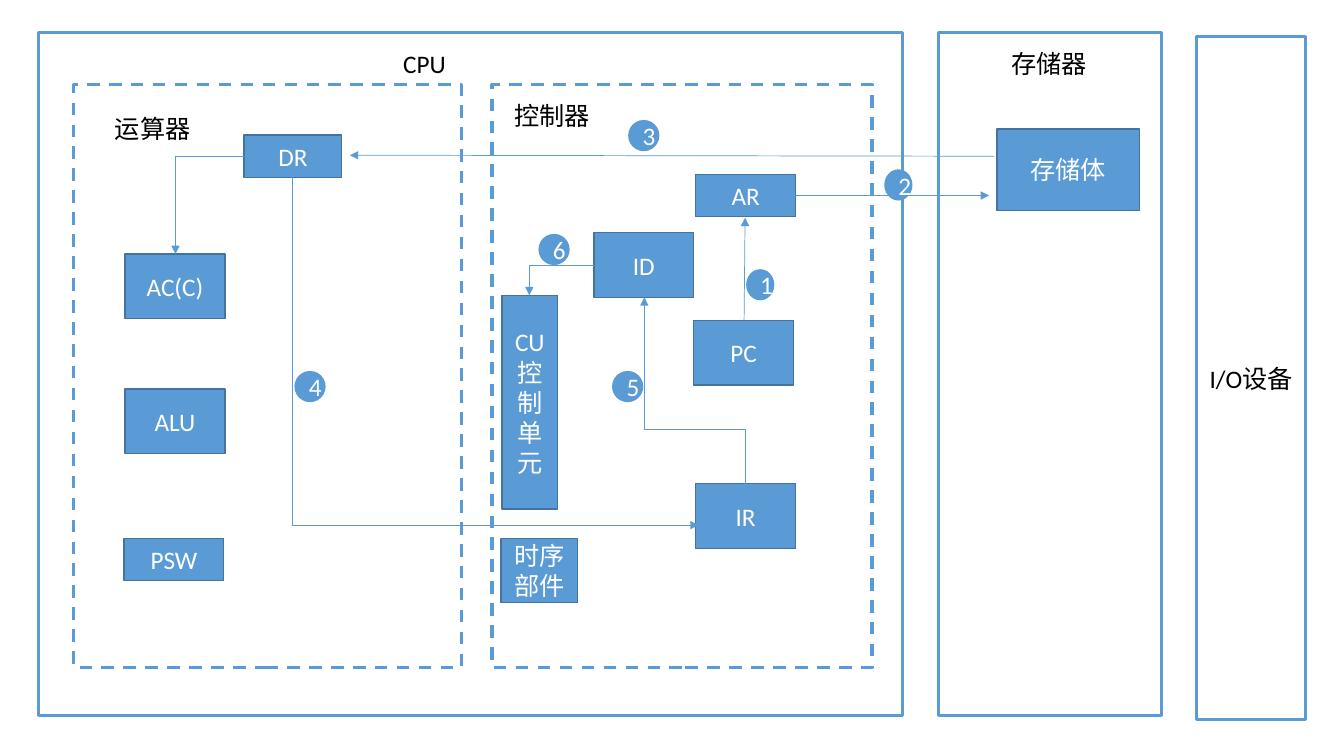
from lxml.etree import SubElement
from pptx import Presentation
from pptx.dml.color import RGBColor
from pptx.enum.dml import MSO_LINE
from pptx.enum.shapes import MSO_CONNECTOR, MSO_SHAPE
from pptx.enum.text import MSO_ANCHOR, MSO_AUTO_SIZE, PP_ALIGN
from pptx.oxml.ns import qn
from pptx.util import Inches, Pt

BLUE, EDGE, WHITE, BLACK = "5B9BD5", "43739E", "FFFFFF", "000000"
FONT, SIZE = "Calibri", 18

# Outer frames and dashed units: left, top, width, height, text, dashed
FRAMES = [
    (0.38, 0.32, 8.57, 6.78, "", False),
    (9.31, 0.32, 2.21, 6.78, "", False),
    (11.87, 0.36, 1.08, 6.78, "I/O设备", False),
    (0.73, 0.84, 3.85, 5.78, "", True),
    (4.88, 0.84, 3.77, 5.78, "", True),
]
# Labels: left, top, width, text, wrap
LABELS = [
    (3.9, 0.43, 0.97, "CPU", True),
    (1.04, 1.08, 0.99, "运算器", True),
    (5, 0.95, 0.99, "控制器", True),
    (9.93, 0.43, 0.96, "存储器", False),
]
# Parts: left, top, width, height, text
WIDE, TALL, FLAT = 0.99, 0.64, 0.42
PARTS = [
    (1.24, 3.86, WIDE, TALL, "ALU"),
    (1.24, 2.52, WIDE, TALL, "AC(C)"),
    (2.42, 1.34, 0.97, FLAT, "DR"),
    (1.23, 5.34, WIDE, FLAT, "PSW"),
    (6.88, 3.18, WIDE, TALL, "PC"),
    (6.9, 4.8, WIDE, TALL, "IR"),
    (5.89, 2.31, WIDE, TALL, "ID"),
    (6.9, 1.73, WIDE, FLAT, "AR"),
    (4.97, 5.34, 0.76, TALL, "时序部件"),
    (4.98, 2.93, 0.55, 2.12, "CU控制单元"),
    (9.89, 1.28, 1.41, 0.81, "存储体"),
]
# Straight arrows: start, end
ARROWS = [
    ((7.38, 3.18), (7.39, 2.16)),
    ((7.89, 1.94), (9.81, 1.94)),
    ((9.86, 1.55), (3.47, 1.54)),
]
# Bent arrows: start, end, leaves upright, place of the middle bend
BENDS = [
    ((2.9, 1.76), (6.93, 5.21), True, None),
    ((7.39, 4.8), (6.39, 2.95), True, 0.292),
    ((5.89, 2.63), (5.25, 2.93), False, None),
    ((2.42, 1.55), (1.74, 2.52), False, None),
]
# Step numbers: left, top, width, text
STEPS = [
    (6.23, 1.19, 0.31, "3"),
    (6.07, 3.68, 0.31, "5"),
    (5.34, 2.32, 0.31, "6"),
    (7.4, 2.67, 0.28, "1"),
    (8.77, 1.68, 0.28, "2"),
    (2.92, 3.68, 0.31, "4"),
]


def tint(form, color):
    """Set a solid colour on a fill or a font colour on a font."""
    if hasattr(form, "solid"):
        form.solid()
        form.fore_color.rgb = RGBColor.from_string(color)
    else:
        form.color.rgb = RGBColor.from_string(color)


def write(frame, text, color, align=None):
    """Put one run of text in a text frame."""
    para = frame.paragraphs[0]
    para.alignment = align
    run = para.add_run()
    run.text = text
    run.font.name, run.font.size = FONT, Pt(SIZE)
    tint(run.font, color)


def add_form(slide, kind, box, text, fill=None, line=None, width=1, ink=WHITE):
    """Add a preset shape with centred text."""
    shape = slide.shapes.add_shape(kind, *map(Inches, box))
    shape.shadow.inherit = False
    if fill:
        tint(shape.fill, fill)
    else:
        shape.fill.background()
    if line:
        tint(shape.line.fill, line)
        shape.line.width = Pt(width)
    else:
        shape.line.fill.background()
    shape.text_frame.vertical_anchor = MSO_ANCHOR.MIDDLE
    if text:
        write(shape.text_frame, text, ink, PP_ALIGN.CENTER)
    return shape


def add_label(slide, left, top, width, text, wrap):
    """Add a heading in a text box."""
    box = slide.shapes.add_textbox(*map(Inches, (left, top, width, 0.4)))
    box.text_frame.word_wrap = wrap
    box.text_frame.auto_size = MSO_AUTO_SIZE.SHAPE_TO_FIT_TEXT
    write(box.text_frame, text, BLACK)


def add_arrow(slide, start, end, kind=MSO_CONNECTOR.STRAIGHT):
    """Add a thin connector with a head at its end."""
    arrow = slide.shapes.add_connector(kind, *map(Inches, start + end))
    tint(arrow.line.fill, BLUE)
    arrow.line.width = Pt(0.5)
    props = arrow.element.spPr
    SubElement(props.find(qn("a:ln")), qn("a:tailEnd"), type="triangle")
    SubElement(props, qn("a:effectLst"))
    return arrow


def add_bend(slide, start, end, upright, bend):
    """Add an elbow arrow, turned so that it leaves upright or sideways."""
    arrow = add_arrow(slide, start, end, MSO_CONNECTOR.ELBOW)
    (x1, y1), (x2, y2) = start, end
    wide, high = abs(x2 - x1), abs(y2 - y1)
    mid_x, mid_y = (x1 + x2) / 2, (y1 + y2) / 2
    flips = (x2 > x1, y2 > y1)
    if upright:
        wide, high = high, wide
        flips = (y2 > y1, x2 < x1)
    arrow.left, arrow.top = Inches(mid_x - wide / 2), Inches(mid_y - high / 2)
    arrow.width, arrow.height = Inches(wide), Inches(high)

    props = arrow.element.spPr
    form = props.find(qn("a:xfrm"))
    form.set("rot", str((270 if upright else 180) * 60000))
    for name, flip in zip(("flipH", "flipV"), flips):
        form.set(name, str(int(flip)))
    geom = props.find(qn("a:prstGeom"))
    if bend is None:
        geom.set("prst", "bentConnector2")
    else:
        SubElement(geom.find(qn("a:avLst")), qn("a:gd"),
                   name="adj1", fmla=f"val {round(bend * 100000)}")


def main():
    """Build the slide and save it."""
    deck = Presentation()
    deck.slide_width, deck.slide_height = Inches(13.33), Inches(7.5)
    slide = deck.slides.add_slide(deck.slide_layouts[6])
    for *box, text, dashed in FRAMES:
        frame = add_form(slide, MSO_SHAPE.RECTANGLE, box, text,
                         line=BLUE, width=2.25, ink=BLACK)
        if dashed:
            frame.line.dash_style = MSO_LINE.DASH
    for label in LABELS:
        add_label(slide, *label)
    for *box, text in PARTS:
        add_form(slide, MSO_SHAPE.RECTANGLE, box, text, BLUE, EDGE)
    for start, end in ARROWS:
        add_arrow(slide, start, end)
    for bend in BENDS:
        add_bend(slide, *bend)
    for *box, text in STEPS:
        add_form(slide, MSO_SHAPE.OVAL, box + [0.31], text, BLUE)
    deck.save("out.pptx")


main()
